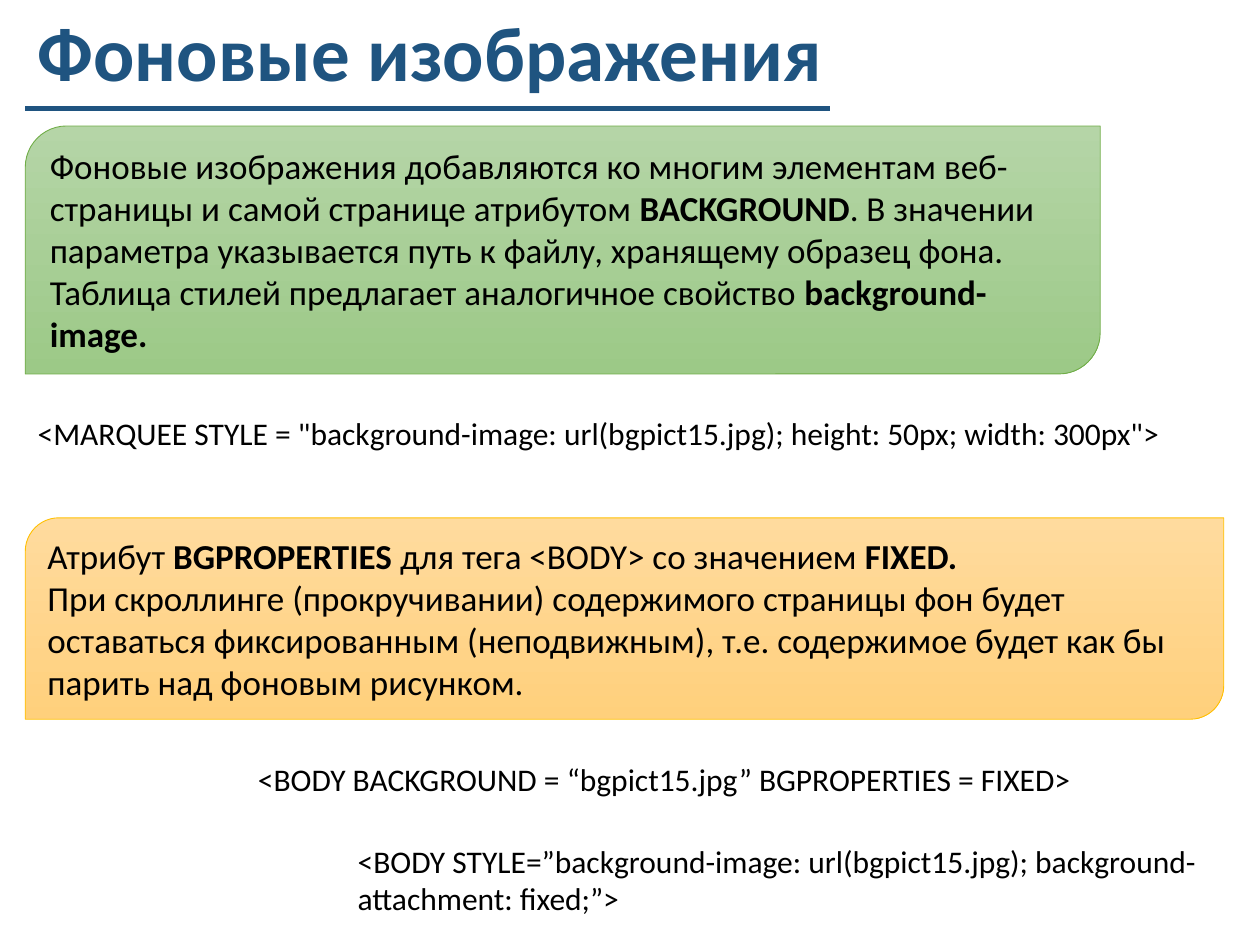
from dataclasses import dataclass

from lxml import etree
from pptx import Presentation
from pptx.dml.color import RGBColor
from pptx.enum.shapes import MSO_CONNECTOR, MSO_SHAPE
from pptx.enum.text import MSO_ANCHOR, MSO_AUTO_SIZE, PP_ALIGN
from pptx.oxml.ns import qn
from pptx.util import Cm, Pt

STRAIGHT = MSO_CONNECTOR.STRAIGHT
CARD = MSO_SHAPE.ROUND_2_DIAG_RECTANGLE
MIDDLE = MSO_ANCHOR.MIDDLE
TOP = MSO_ANCHOR.TOP
LEFT = PP_ALIGN.LEFT
NO_FIT = MSO_AUTO_SIZE.NONE
TITLE_ONLY = 5


@dataclass(frozen=True)
class Theme:
    font: str = "Calibri"
    title_size: int = 44
    card_size: int = 20
    code_size: int = 18
    title: str = "1F5480"
    text: str = "000000"
    green: tuple = ("B5D5A7", "9CC987", "70AD47")
    amber: tuple = ("FFDB9E", "FFD07C", "FFC000")


THEME = Theme()
MARGIN = 0.51


def rgb(value):
    return RGBColor.from_string(value)


def place(sp, box):
    sp.left, sp.top, sp.width, sp.height = map(Cm, box)


def style(p, size, color=THEME.text, bold=None):
    p.alignment = LEFT
    p.font.name = THEME.font
    p.font.size = Pt(size)
    p.font.color.rgb = rgb(color)
    p.font.bold = bold


def write(tf, paragraphs, size, anchor):
    tf.word_wrap = True
    tf.auto_size = NO_FIT
    tf.vertical_anchor = anchor
    for i, runs in enumerate(paragraphs):
        p = tf.add_paragraph() if i else tf.paragraphs[0]
        style(p, size)
        for text, bold in runs:
            r = p.add_run()
            r.text = text
            if bold:
                r.font.bold = True


def add_title(s, box, text, rule_width):
    left, top, _, height = box
    sp = s.shapes.title
    place(sp, box)
    tf = sp.text_frame
    tf.text = text
    tf.auto_size = NO_FIT
    tf.vertical_anchor = MIDDLE
    p = tf.paragraphs[0]
    p.line_spacing = 0.7
    style(p, THEME.title_size, THEME.title, True)

    y = top + height - 0.39
    rule = s.shapes.add_connector(
        STRAIGHT, Cm(left), Cm(y), Cm(left + rule_width), Cm(y))
    rule.line.color.rgb = rgb(THEME.title)
    rule.line.width = Pt(3)
    etree.SubElement(rule._element.spPr, qn("a:effectLst"))


def add_card(s, box, colors, paragraphs):
    *stops, edge = colors
    sp = s.shapes.add_shape(CARD, *map(Cm, box))
    sp.shadow.inherit = False
    sp.fill.gradient()
    sp.fill.gradient_angle = 270
    for stop, color in zip(sp.fill.gradient_stops, stops):
        stop.color.rgb = rgb(color)
    sp.line.color.rgb = rgb(edge)
    sp.line.width = Pt(0.5)
    write(sp.text_frame, paragraphs, THEME.card_size, MIDDLE)


def add_code(s, box, text):
    sp = s.shapes.add_textbox(*map(Cm, box))
    write(sp.text_frame, [[(text, False)]], THEME.code_size, TOP)


def main():
    prs = Presentation()
    prs.slide_width, prs.slide_height = Cm(25.4), Cm(19.05)
    s = prs.slides.add_slide(prs.slide_layouts[TITLE_ONLY])

    add_title(s, (MARGIN, -0.05, 23.7, 2.62), "Фоновые изображения", 16.23)
    add_card(s, (MARGIN, 2.54, 21.67, 5), THEME.green, [
        [("Фоновые изображения добавляются ко многим элементам веб-страницы "
          "и самой странице атрибутом ", False),
         ("BACKGROUND", True),
         (". В значении параметра указывается путь к файлу, хранящему "
          "образец фона.", False)],
        [("Таблица стилей предлагает аналогичное свойство ", False),
         ("background-image.", True)],
    ])
    add_code(s, (MARGIN, 8.23, 23.72, 1.02),
             '<MARQUEE STYLE = "background-image: url(bgpict15.jpg); '
             'height: 50px; width: 300px">')
    add_card(s, (MARGIN, 10.44, 24.16, 4.06), THEME.amber, [
        [("Атрибут ", False), ("BGPROPERTIES", True),
         (" для тега <BODY> со значением ", False), ("FIXED.", True)],
        [("При скроллинге (прокручивании) содержимого страницы фон будет "
          "оставаться фиксированным (неподвижным), т.е. содержимое будет "
          "как бы парить над фоновым рисунком.", False)],
    ])
    add_code(s, (4.95, 15.19, 19.25, 1.02),
             "<BODY BACKGROUND = “bgpict15.jpg” BGPROPERTIES = FIXED>")
    add_code(s, (6.96, 16.84, 19.56, 1.8),
             "<BODY STYLE=”background-image: url(bgpict15.jpg); "
             "background-attachment: fixed;”>")

    prs.save("out.pptx")


if __name__ == "__main__":
    main()
